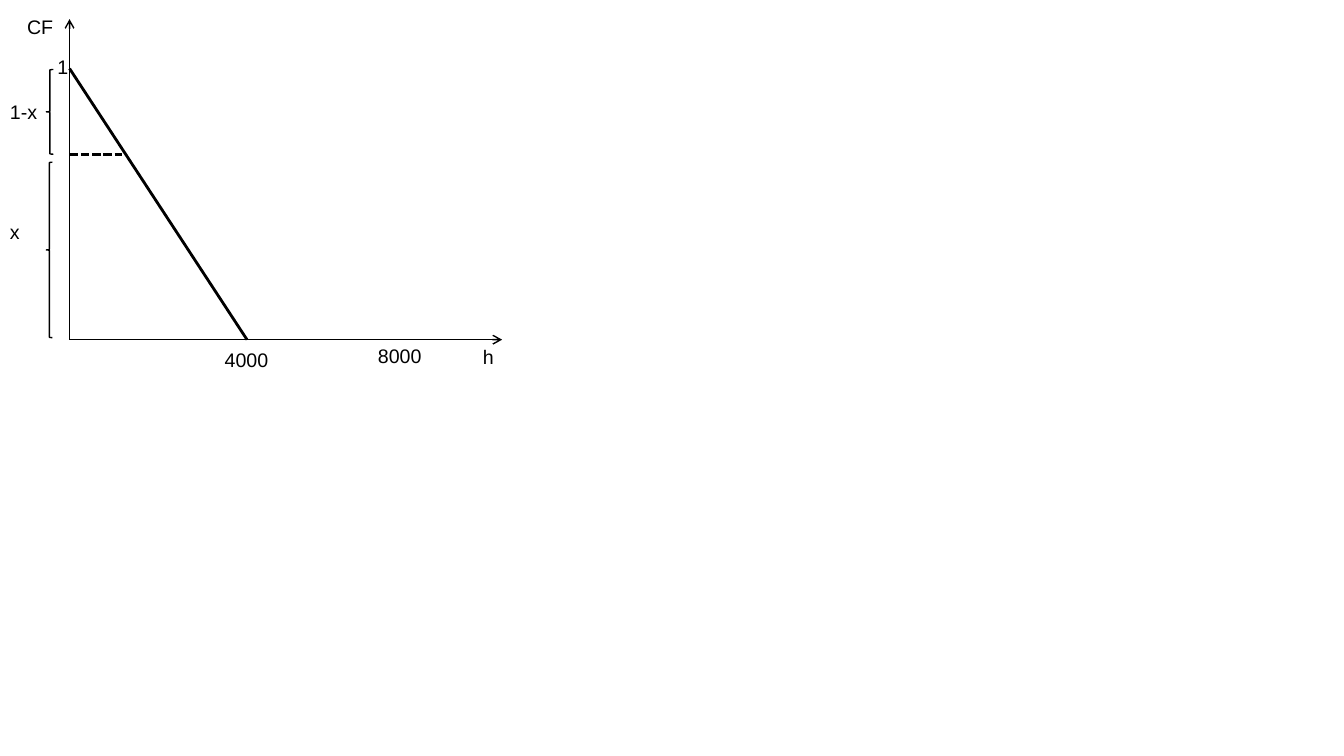
"""Build a slide with a falling CF line over hours, split into x and 1-x."""
from lxml import etree
from pptx import Presentation
from pptx.dml.color import RGBColor
from pptx.enum.dml import MSO_LINE
from pptx.enum.shapes import MSO_CONNECTOR, MSO_SHAPE
from pptx.enum.text import MSO_AUTO_SIZE
from pptx.oxml.ns import qn
from pptx.util import Inches, Pt

COLORS = {"ink": "000000"}
INK = RGBColor.from_string(COLORS["ink"])
LABEL_FONT = {"name": "Arial", "size": Pt(14)}
AXIS_X, AXIS_Y = 0.69, 3.37

presentation = Presentation()
presentation.slide_width = Inches(13.33)
presentation.slide_height = Inches(7.5)
slide = presentation.slides.add_slide(presentation.slide_layouts[6])
diagram = slide.shapes.add_group_shape()

lines = [
    (AXIS_X, AXIS_Y, AXIS_X, 0.19, 1, None, True),
    (AXIS_X, AXIS_Y, 4.98, AXIS_Y, 1, None, True),
    (AXIS_X, 0.68, 2.45, AXIS_Y, 2, None, False),
    (AXIS_X, 1.53, 1.21, 1.53, 2, MSO_LINE.SQUARE_DOT, False),
]
for start_x, start_y, end_x, end_y, width, dash, has_arrow in lines:
    connector = diagram.shapes.add_connector(
        MSO_CONNECTOR.STRAIGHT,
        Inches(start_x), Inches(start_y), Inches(end_x), Inches(end_y))
    connector.line.color.rgb = INK
    connector.line.width = Pt(width)
    if dash:
        connector.line.dash_style = dash
    properties = connector._element.spPr
    if has_arrow:
        etree.SubElement(properties.find(qn("a:ln")), qn("a:tailEnd"), type="arrow")
    etree.SubElement(properties, qn("a:effectLst"))

braces = [(0.46, 0.69, 0.07, 0.84), (0.46, 1.61, 0.06, 1.74)]
for bounds in braces:
    brace = diagram.shapes.add_shape(MSO_SHAPE.LEFT_BRACE, *map(Inches, bounds))
    brace.shadow.inherit = False
    brace.fill.background()
    brace.line.color.rgb = INK
    brace.line.width = Pt(1)

labels = [
    ("4000", 2.13, 3.4, 1.02),
    ("8000", 3.65, 3.36, 1.02),
    ("h", 4.69, 3.37, 0.4),
    ("CF", 0.17, 0.1, 0.52),
    ("x", 0, 2.13, 0.52),
    ("1-x", 0, 0.94, 0.52),
    ("1", 0.47, 0.5, 0.52),
]
for text, left, top, width in labels:
    label = diagram.shapes.add_textbox(
        Inches(left), Inches(top), Inches(width), Inches(0.34))
    frame = label.text_frame
    frame.word_wrap = True
    frame.auto_size = MSO_AUTO_SIZE.SHAPE_TO_FIT_TEXT
    run = frame.paragraphs[0].add_run()
    run.text = text
    for attribute, value in LABEL_FONT.items():
        setattr(run.font, attribute, value)
    run.font.color.rgb = INK

presentation.save("out.pptx")
